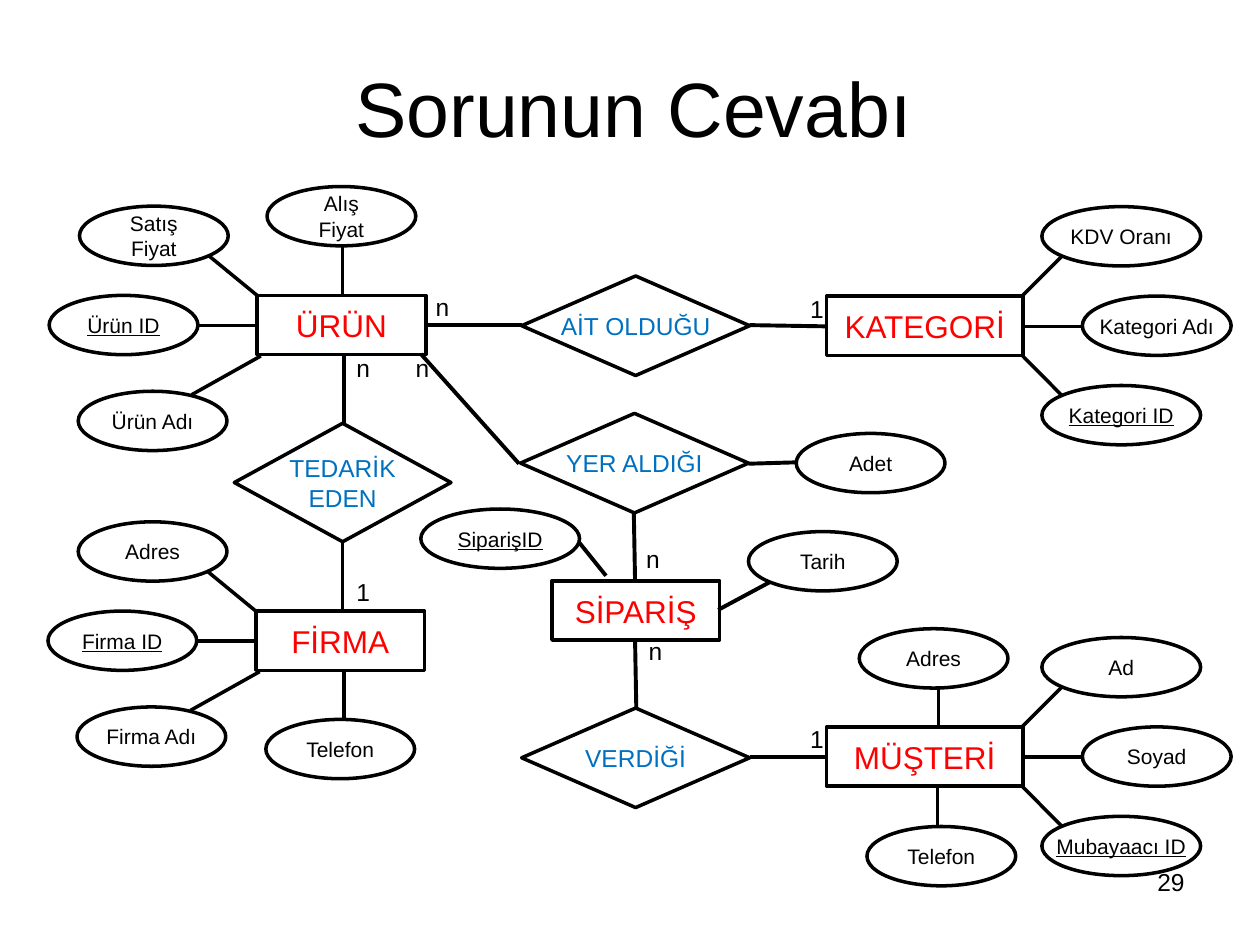
from pptx import Presentation
from pptx.util import Pt
from pptx.dml.color import RGBColor
from pptx.enum.shapes import MSO_SHAPE as Kind, MSO_CONNECTOR as Link
from pptx.enum.text import PP_ALIGN as Align, MSO_ANCHOR as Anchor
from pptx.oxml.ns import qn
from lxml.etree import SubElement

BLACK = RGBColor(0, 0, 0)
RED = RGBColor(255, 0, 0)
BLUE = RGBColor(0, 112, 192)
FONT = "Arial"
SLIM, WIDE, HIGH = 85, 90.7, 33.9

LEFT = (
    ((-101.5, -51, SLIM), (-28, -23, 0, 0)),
    ((-118.8, 0, SLIM), (0, 17.2, -33.8, 17.2)),
    ((-102.2, 54.8, SLIM), (-37.4, 56.8, 2.2, 34.6)),
)
RIGHT = (
    ((123.1, -51.1, WIDE), (111.7, 0, 134.7, -23)),
    ((146.2, 0, SLIM), (111.7, 17.3, 146.2, 17.3)),
    ((123.1, 51.1, WIDE), (111.7, 33.8, 134.7, 57)),
)

ENTITIES = [
    ("ÜRÜN", 146.9, 168.8, 96.5, LEFT, ["Satış\nFiyat", "Ürün ID", "Ürün Adı"]),
    ("KATEGORİ", 472.3, 169.2, 112.3, RIGHT, ["KDV Oranı", "Kategori Adı", "Kategori ID"]),
    ("FİRMA", 146.2, 349.2, 96.5, LEFT, ["Adres", "Firma ID", "Firma Adı"]),
    ("MÜŞTERİ", 472.3, 415.4, 112.3, RIGHT, ["Ad", "Soyad", "Mubayaacı ID"]),
    ("SİPARİŞ", 315.4, 331.9, 95.8, (), []),
]
EXTRAS = [
    ("Alış\nFiyat", 152.6, 106.6, SLIM),
    ("Telefon", 151.9, 411.1, SLIM),
    ("Adres", 491, 359.3, SLIM),
    ("Telefon", 495.4, 472.3, SLIM),
    ("Tarih", 427.7, 303.8, SLIM),
    ("Adet", 455, 247.7, SLIM),
    ("SiparişID", 240.5, 290.9, WIDE),
]
RELATIONS = [
    ("AİT OLDUĞU", 298.1, 157.7, 130.3, 56.9),
    ("TEDARİK\nEDEN", 133.9, 241.9, 123.8, 67.7),
    ("YER ALDIĞI", 297.4, 236.2, 130.3, 56.9),
    ("VERDİĞİ", 298.1, 404.6, 130.3, 56.9),
]
THIN = [
    (195.8, 141.1, 195.8, 169.2),
    (196.6, 202.3, 196.6, 241.9),
    (195.8, 309.6, 195.8, 349.2),
    (196.6, 383, 196.6, 411.1),
    (536.4, 393.1, 536.4, 416.2),
    (535.7, 450, 535.7, 472.3),
]
THICK = [
    (243.4, 185.8, 298.1, 185.8),
    (428.4, 185.8, 472.3, 186.5),
    (296.6, 265, 240.5, 202.3),
    (427.7, 265, 455, 264.2),
    (362.2, 293, 362.9, 331.9),
    (362.9, 365.8, 363.6, 404.6),
    (472.3, 432.7, 428.4, 432.7),
    (440, 332.6, 410.4, 348.5),
    (346.3, 329, 331.2, 310.3),
]
COUNTS = [
    ("1", 455.8, 164.2),
    ("n", 241.9, 163.4),
    ("1", 196.6, 326.2),
    ("n", 196.6, 198),
    ("n", 230.4, 198),
    ("n", 363.6, 360),
    ("n", 362.2, 307.4),
    ("1", 455.8, 410.4),
]

deck = Presentation()
deck.slide_width, deck.slide_height = Pt(720), Pt(540)
slide = deck.slides.add_slide(deck.slide_layouts[6])
shapes = slide.shapes


def write(box, text, size, color=BLACK, align=Align.CENTER, anchor=Anchor.MIDDLE, wrap=True):
    frame = box.text_frame
    frame.text = text
    frame.word_wrap = wrap
    frame.vertical_anchor = anchor
    for para in frame.paragraphs:
        para.alignment = align
        for run in para.runs:
            font = run.font
            font.name, font.size = FONT, Pt(size)
            font.color.rgb = color
            if text.endswith("ID"):
                font.underline = True


def label(text, x, y, w, h, size, **style):
    write(shapes.add_textbox(Pt(x), Pt(y), Pt(w), Pt(h)), text, size, **style)


def node(kind, text, x, y, w, h, size, color=BLACK):
    box = shapes.add_shape(kind, Pt(x), Pt(y), Pt(w), Pt(h))
    box.shadow.inherit = False
    box.fill.background()
    box.line.color.rgb = BLACK
    box.line.width = Pt(2)
    write(box, text, size, color, wrap=False)


def link(ends, width=2):
    line = shapes.add_connector(Link.STRAIGHT, *map(Pt, ends))
    line.line.color.rgb = BLACK
    line.line.width = Pt(width)
    SubElement(line._element.spPr, qn("a:effectLst"))


label("Sorunun Cevabı", 38.2, 15.8, 648, 90, 44)

for name, x, y, w, fan, attrs in ENTITIES:
    node(Kind.RECTANGLE, name, x, y, w, HIGH, 18, RED)
    for attr, ((dx, dy, wide), (ax, ay, bx, by)) in zip(attrs, fan):
        node(Kind.OVAL, attr, x + dx, y + dy, wide, HIGH, 12)
        link((x + ax, y + ay, x + bx, y + by))

for name, x, y, w in EXTRAS:
    node(Kind.OVAL, name, x, y, w, HIGH, 12)
for name, x, y, w, h in RELATIONS:
    node(Kind.DIAMOND, name, x, y, w, h, 14, BLUE)
for ends in THIN:
    link(ends)
for ends in THICK:
    link(ends, 2.25)
for text, x, y in COUNTS:
    label(text, x, y, 16.6, 24.5, 14, anchor=Anchor.TOP)

label("29", 516.2, 491.8, 167.8, 37.4, 14, align=Align.RIGHT, anchor=Anchor.TOP)

deck.save("out.pptx")
